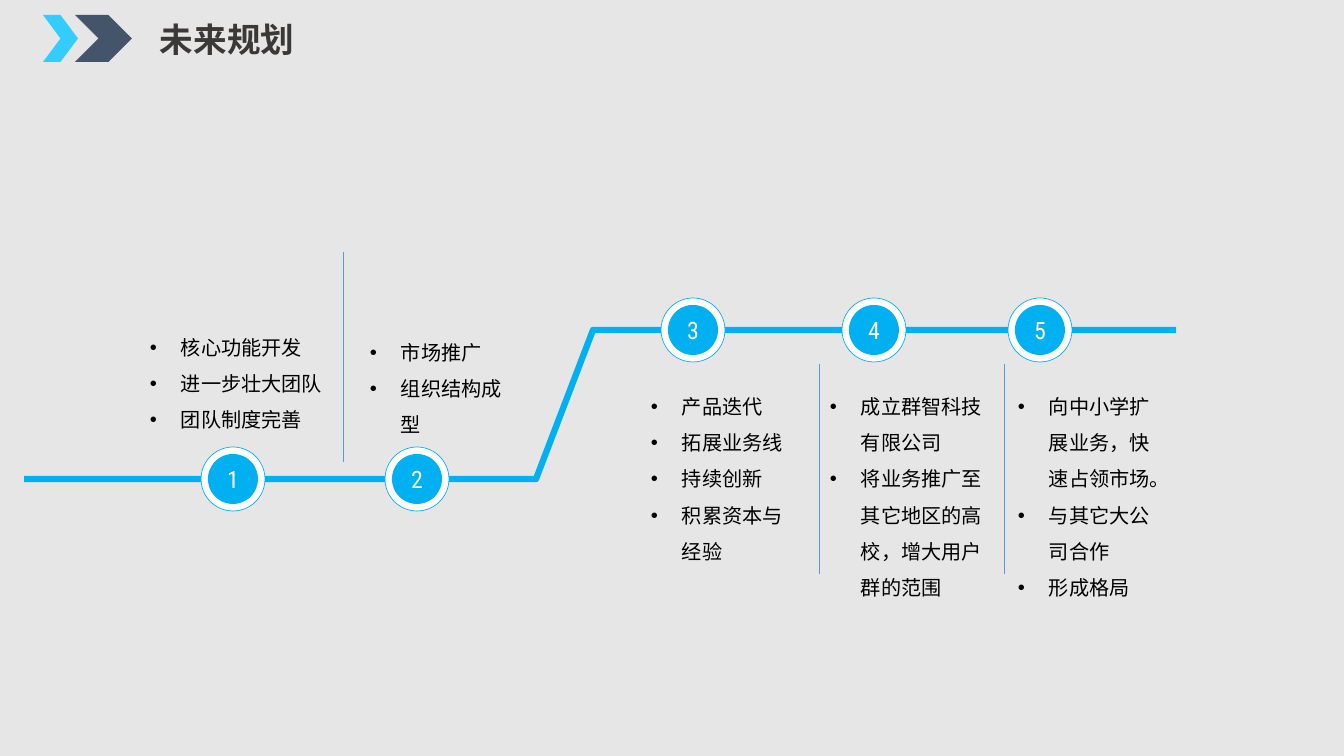
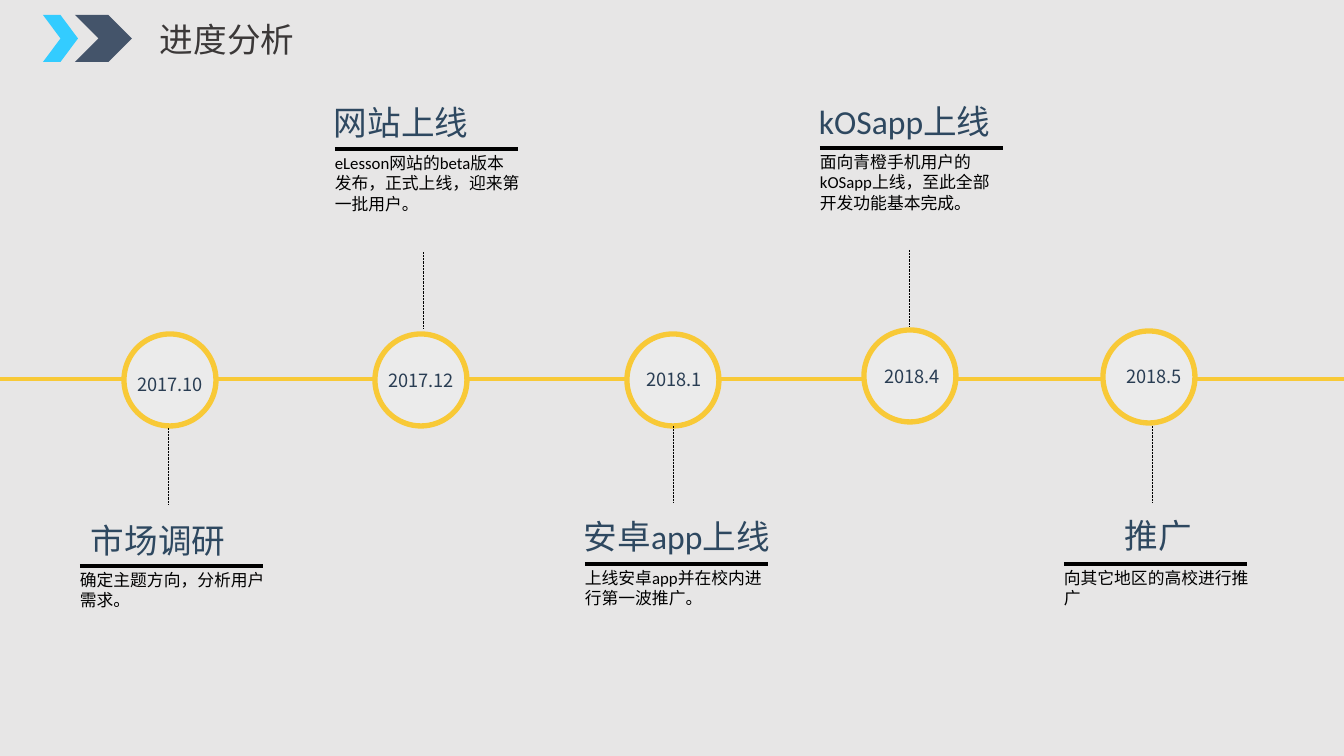
from dataclasses import dataclass

from lxml.etree import SubElement
from pptx import Presentation
from pptx.dml.color import RGBColor
from pptx.enum.dml import MSO_LINE
from pptx.enum.shapes import MSO_CONNECTOR, MSO_SHAPE
from pptx.enum.text import MSO_ANCHOR as ANCHOR, PP_ALIGN as ALIGN
from pptx.oxml.ns import qn
from pptx.util import Pt

EMU_PER_PX = 914400 / 100.8
SLIDE_W, SLIDE_H = 1344, 756
LATIN, CJK, DIGITS = "Calibri", "Noto Sans CJK SC", "Roboto Condensed"

COLORS = {
    "background": "E7E6E6", "chevron_light": "33CCFF", "chevron_dark": "44546A",
    "title": "3B3838", "body": "000000", "white": "FFFFFF",
    "route": "00B0F0", "divider": "5B9BD5",
    "axis": "F8C937", "disc": "EBEBEB", "date": "293D53", "heading": "2E4860",
}


@dataclass
class Step:
    """A numbered point on the route, with its box of bullets."""
    center: tuple
    box: tuple
    points: list


@dataclass
class Milestone:
    """A dated disc on the axis; all places are left/top corners in px."""
    date: str
    disc: tuple
    date_center: int
    date_top: int
    stem: tuple
    heading: str
    heading_at: tuple
    rule: tuple
    note: str


LOW, HIGH = 479, 330
ROUTE = [(24, LOW), (536, LOW), (593, HIGH), (1176, HIGH)]
STEPS = [
    Step((233, LOW), (140, 318, 194, 120),
         ["核心功能开发", "进一步壮大团队", "团队制度完善"]),
    Step((417, LOW), (360, 323, 163, 116), ["市场推广", "组织结构成型"]),
    Step((693, HIGH), (641, 377, 170, 226),
         ["产品迭代", "拓展业务线", "持续创新", "积累资本与经验"]),
    Step((874, HIGH), (820, 377, 173, 226),
         ["成立群智科技有限公司", "将业务推广至其它地区的高校，增大用户群的范围"]),
    Step((1040, HIGH), (1008, 377, 152, 226),
         ["向中小学扩展业务，快速占领市场。", "与其它大公司合作", "形成格局"]),
]
DIVIDERS = [(343, 252), (819, 364), (1004, 364)]

MILESTONES = [
    Milestone("2017.10", (124, 334), 170, 368, (168, 428),
              "市场调研", (81, 515), (80, 566), "确定主题方向，分析用户需求。"),
    Milestone("2017.12", (375, 334), 421, 364, (423, 252),
              "网站上线", (324, 97), (335, 149),
              "eLesson网站的beta版本发布，正式上线，迎来第一批用户。"),
    Milestone("2018.1", (627, 334), 674, 363, (673, 426),
              "安卓app上线", (574, 511), (585, 564),
              "上线安卓app并在校内进行第一波推广。"),
    Milestone("2018.4", (864, 330), 912, 360, (909, 250),
              "kOSapp上线", (809, 96), (820, 148),
              "面向青橙手机用户的kOSapp上线，至此全部开发功能基本完成。"),
    Milestone("2018.5", (1103, 331), 1154, 360, (1152, 426),
              "推广", (1115, 510), (1064, 564), "向其它地区的高校进行推广"),
]


def px(length):
    return round(length * EMU_PER_PX)


def emu(lengths):
    return [px(length) for length in lengths]


def rgb(name):
    return RGBColor.from_string(COLORS[name])


def set_line(line, color, width):
    line.color.rgb = rgb(color)
    line.width = Pt(width)


def add_bullet(paragraph, indent):
    props = paragraph._p.get_or_add_pPr()
    props.set("marL", str(px(indent)))
    props.set("indent", str(-px(indent)))
    SubElement(props, qn("a:buFont"), typeface="Arial")
    SubElement(props, qn("a:buChar"), char="•")


def write(frame, lines, size, color, font=LATIN, bold=False, align=ALIGN.LEFT,
          spacing=None, bullet_indent=None):
    """Fill a text frame with one paragraph per line."""
    frame.word_wrap = True
    for index, line in enumerate(lines):
        paragraph = frame.add_paragraph() if index else frame.paragraphs[0]
        if bullet_indent:
            add_bullet(paragraph, bullet_indent)
        paragraph.alignment = align
        if spacing:
            paragraph.line_spacing = spacing
        run = paragraph.add_run()
        run.text = line
        run.font.size = Pt(size)
        run.font.bold = bold
        run.font.name = font
        run.font.color.rgb = rgb(color)
        SubElement(run._r.get_or_add_rPr(), qn("a:ea"), typeface=CJK)


def add_text(slide, box, *lines, **text_format):
    frame = slide.shapes.add_textbox(*emu(box)).text_frame
    write(frame, lines, **text_format)


def add_shape(slide, kind, box, fill, line=None, line_width=1):
    shape = slide.shapes.add_shape(kind, *emu(box))
    shape.shadow.inherit = False
    shape.fill.solid()
    shape.fill.fore_color.rgb = rgb(fill)
    if line:
        set_line(shape.line, line, line_width)
    else:
        shape.line.fill.background()
    return shape


def add_line(slide, start, end, color, width, dash=None):
    connector = slide.shapes.add_connector(
        MSO_CONNECTOR.STRAIGHT, *emu(start + end))
    set_line(connector.line, color, width)
    if dash:
        connector.line.dash_style = dash
    SubElement(connector._element.spPr, qn("a:effectLst"))


def add_polyline(slide, points, color, width):
    builder = slide.shapes.build_freeform(*points[0], scale=EMU_PER_PX)
    builder.add_line_segments(points[1:], close=False)
    outline = builder.convert_to_shape()
    outline.shadow.inherit = False
    outline.fill.background()
    set_line(outline.line, color, width)


def add_circle(slide, center, diameter, fill, **line_format):
    x, y = center
    radius = diameter / 2
    return add_shape(slide, MSO_SHAPE.OVAL,
                     (x - radius, y - radius, diameter, diameter),
                     fill, **line_format)


def add_titled_slide(prs, title, bold=False):
    slide = prs.slides.add_slide(prs.slide_layouts[6])
    add_shape(slide, MSO_SHAPE.CHEVRON, (43, 15, 35, 47), "chevron_light")
    add_shape(slide, MSO_SHAPE.CHEVRON, (75, 15, 57, 47), "chevron_dark")
    add_text(slide, (150, 14, 367, 50), title, size=24, color="title", bold=bold)
    return slide


def add_step(slide, number, step):
    add_circle(slide, step.center, 64, "white", line="route", line_width=0.5)
    badge = add_circle(slide, step.center, 50, "route").text_frame
    badge.margin_left = badge.margin_right = 0
    badge.margin_top = badge.margin_bottom = 0
    badge.vertical_anchor = ANCHOR.MIDDLE
    write(badge, [str(number)], size=17.1, color="white", font=DIGITS,
          align=ALIGN.CENTER)
    add_text(slide, step.box, *step.points, size=14.4, color="body", font=CJK,
             spacing=1.5, bullet_indent=31)


def add_milestone(slide, stone):
    add_shape(slide, MSO_SHAPE.OVAL, (*stone.disc, 92, 92), "disc",
              line="axis", line_width=3.8)
    add_text(slide, (stone.date_center - 52, stone.date_top, 104, 32), stone.date,
             size=13, color="date", font=CJK, align=ALIGN.CENTER)
    stem_x, stem_top = stone.stem
    add_line(slide, stone.stem, (stem_x, stem_top + 77), "body", 0.5,
             MSO_LINE.ROUND_DOT)
    add_text(slide, (*stone.heading_at, 228, 50), stone.heading,
             size=24, color="heading")
    rule_x, rule_y = stone.rule
    add_line(slide, stone.rule, (rule_x + 183, rule_y), "body", 3)
    add_text(slide, (rule_x - 10, rule_y - 1, 205, 72), stone.note,
             size=12, color="body")


def build_plan(prs):
    slide = add_titled_slide(prs, "未来规划", bold=True)
    add_polyline(slide, ROUTE, "route", 4.5)
    for x, top in DIVIDERS:
        add_line(slide, (x, top), (x, top + 210), "divider", 0.5)
    for number, step in enumerate(STEPS, start=1):
        add_step(slide, number, step)


def build_progress(prs):
    slide = add_titled_slide(prs, "进度分析")
    add_line(slide, (0, 379), (SLIDE_W, 379), "axis", 3.5)
    for stone in MILESTONES:
        add_milestone(slide, stone)


def main():
    prs = Presentation()
    prs.slide_width, prs.slide_height = emu((SLIDE_W, SLIDE_H))
    backdrop = prs.slide_master.background.fill
    backdrop.solid()
    backdrop.fore_color.rgb = rgb("background")
    build_plan(prs)
    build_progress(prs)
    prs.save("out.pptx")


if __name__ == "__main__":
    main()
